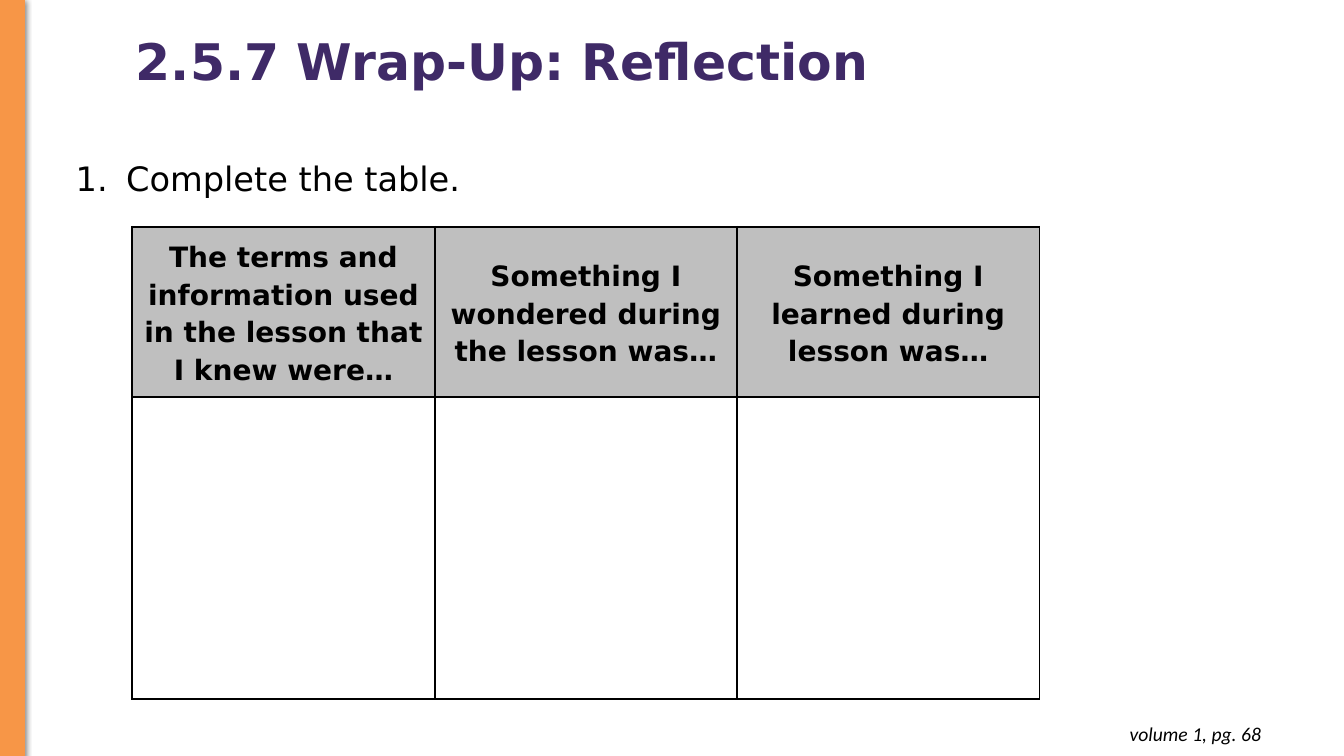
from dataclasses import dataclass

from lxml.etree import SubElement
from pptx import Presentation
from pptx.dml.color import RGBColor
from pptx.enum.shapes import MSO_SHAPE
from pptx.enum.text import MSO_ANCHOR, MSO_AUTO_SIZE, PP_ALIGN
from pptx.oxml.ns import qn
from pptx.util import Pt

COLORS = {
    "accent": "F79647",
    "title": "3F2A67",
    "text": "000000",
    "header": "BFBFBF",
}
HEADINGS = (
    "The terms and information used in the lesson that I knew were…",
    "Something I wondered during the lesson was…",
    "Something I learned during lesson was…",
)
COLUMN_WIDTH = 216
ROW_HEIGHTS = (121.5, 216)
BORDER_WIDTH = 1.5


@dataclass
class TextStyle:
    size: float
    font: str = "DejaVu Sans"
    color: str = "text"
    bold: bool = False
    italic: bool = False
    align: PP_ALIGN = PP_ALIGN.LEFT
    line_spacing: float = 1.0


@dataclass
class Label:
    text: str
    left: float
    top: float
    width: float
    height: float
    style: TextStyle
    inset_y: float = 3.6
    anchor: MSO_ANCHOR = MSO_ANCHOR.TOP
    number_indent: float = 0


HEADING_STYLE = TextStyle(20, bold=True, align=PP_ALIGN.CENTER, line_spacing=1.15)
LABELS = (
    Label("volume 1, pg. 68", 700.5, 508.5, 207.5, 31.5,
          TextStyle(14, "Calibri", italic=True, align=PP_ALIGN.RIGHT), inset_y=7.2),
    Label("2.5.7 Wrap-Up: Reflection", 90, 22.5, 840, 46.5,
          TextStyle(36, color="title", bold=True, line_spacing=0.9),
          anchor=MSO_ANCHOR.MIDDLE),
    Label("Complete the table.", 47, 109.5, 867, 36, TextStyle(24), number_indent=36),
)


def rgb(name: str) -> RGBColor:
    return RGBColor.from_string(COLORS[name])


def style_paragraph(paragraph, style: TextStyle) -> None:
    paragraph.alignment = style.align
    paragraph.line_spacing = style.line_spacing
    font = paragraph.font
    font.name, font.size = style.font, Pt(style.size)
    font.bold, font.italic = style.bold, style.italic
    font.color.rgb = rgb(style.color)


def add_number(paragraph, indent: float, style: TextStyle) -> None:
    properties = paragraph._p.get_or_add_pPr()
    properties.set("marL", str(Pt(indent)))
    properties.set("indent", str(-Pt(indent)))
    number_color = SubElement(properties, qn("a:buClr"))
    SubElement(number_color, qn("a:srgbClr"), val=COLORS[style.color])
    SubElement(properties, qn("a:buFont"), typeface=style.font)
    SubElement(properties, qn("a:buAutoNum"), type="arabicPeriod")


def add_label(slide, label: Label) -> None:
    box = slide.shapes.add_textbox(
        Pt(label.left), Pt(label.top), Pt(label.width), Pt(label.height))
    frame = box.text_frame
    frame.word_wrap = True
    frame.auto_size = MSO_AUTO_SIZE.SHAPE_TO_FIT_TEXT
    frame.vertical_anchor = label.anchor
    frame.margin_left = frame.margin_right = Pt(7.2)
    frame.margin_top = frame.margin_bottom = Pt(label.inset_y)
    paragraph = frame.paragraphs[0]
    paragraph.text = label.text
    if label.number_indent:
        add_number(paragraph, label.number_indent, label.style)
    style_paragraph(paragraph, label.style)


def add_side_bar(slide) -> None:
    side_bar = slide.shapes.add_shape(
        MSO_SHAPE.RECTANGLE, Pt(0), Pt(-0.5), Pt(17.5), Pt(541))
    side_bar.fill.solid()
    side_bar.fill.fore_color.rgb = rgb("accent")
    side_bar.line.color.rgb = rgb("accent")
    side_bar.line.width = Pt(0.75)
    side_bar.shadow.inherit = False
    effects = side_bar._element.spPr.find(qn("a:effectLst"))
    shadow = SubElement(effects, qn("a:outerShdw"), blurRad=str(Pt(4.5)),
                        dist=str(Pt(1.5)), dir="5400000", rotWithShape="0")
    shade = SubElement(shadow, qn("a:srgbClr"), val=COLORS["text"])
    SubElement(shade, qn("a:alpha"), val="50000")


def add_borders(cell) -> None:
    properties = cell._tc.get_or_add_tcPr()
    for side in ("lnL", "lnR", "lnT", "lnB"):
        border = SubElement(properties, qn(f"a:{side}"), w=str(Pt(BORDER_WIDTH)))
        fill = SubElement(border, qn("a:solidFill"))
        SubElement(fill, qn("a:srgbClr"), val=COLORS["text"])


def add_reflection_table(slide) -> None:
    table = slide.shapes.add_table(
        len(ROW_HEIGHTS), len(HEADINGS), Pt(94.5), Pt(162),
        Pt(COLUMN_WIDTH * len(HEADINGS)), Pt(sum(ROW_HEIGHTS))).table
    table.first_row = table.horz_banding = False
    for column in table.columns:
        column.width = Pt(COLUMN_WIDTH)
    for row, height in zip(table.rows, ROW_HEIGHTS):
        row.height = Pt(height)
    for cell in table.iter_cells():
        add_borders(cell)
        cell.fill.background()

    # Heading row
    for cell, heading in zip(table.rows[0].cells, HEADINGS):
        cell.fill.solid()
        cell.fill.fore_color.rgb = rgb("header")
        cell.vertical_anchor = MSO_ANCHOR.MIDDLE
        cell.margin_left = cell.margin_right = Pt(7.2)
        cell.margin_top = cell.margin_bottom = Pt(7.2)
        cell.text = heading
        style_paragraph(cell.text_frame.paragraphs[0], HEADING_STYLE)


def main() -> None:
    presentation = Presentation()
    presentation.slide_width, presentation.slide_height = Pt(960), Pt(540)
    slide = presentation.slides.add_slide(presentation.slide_layouts[6])

    # Side bar and table
    add_side_bar(slide)
    add_reflection_table(slide)

    # Page reference, title and task
    for label in LABELS:
        add_label(slide, label)

    presentation.save("out.pptx")


if __name__ == "__main__":
    main()
